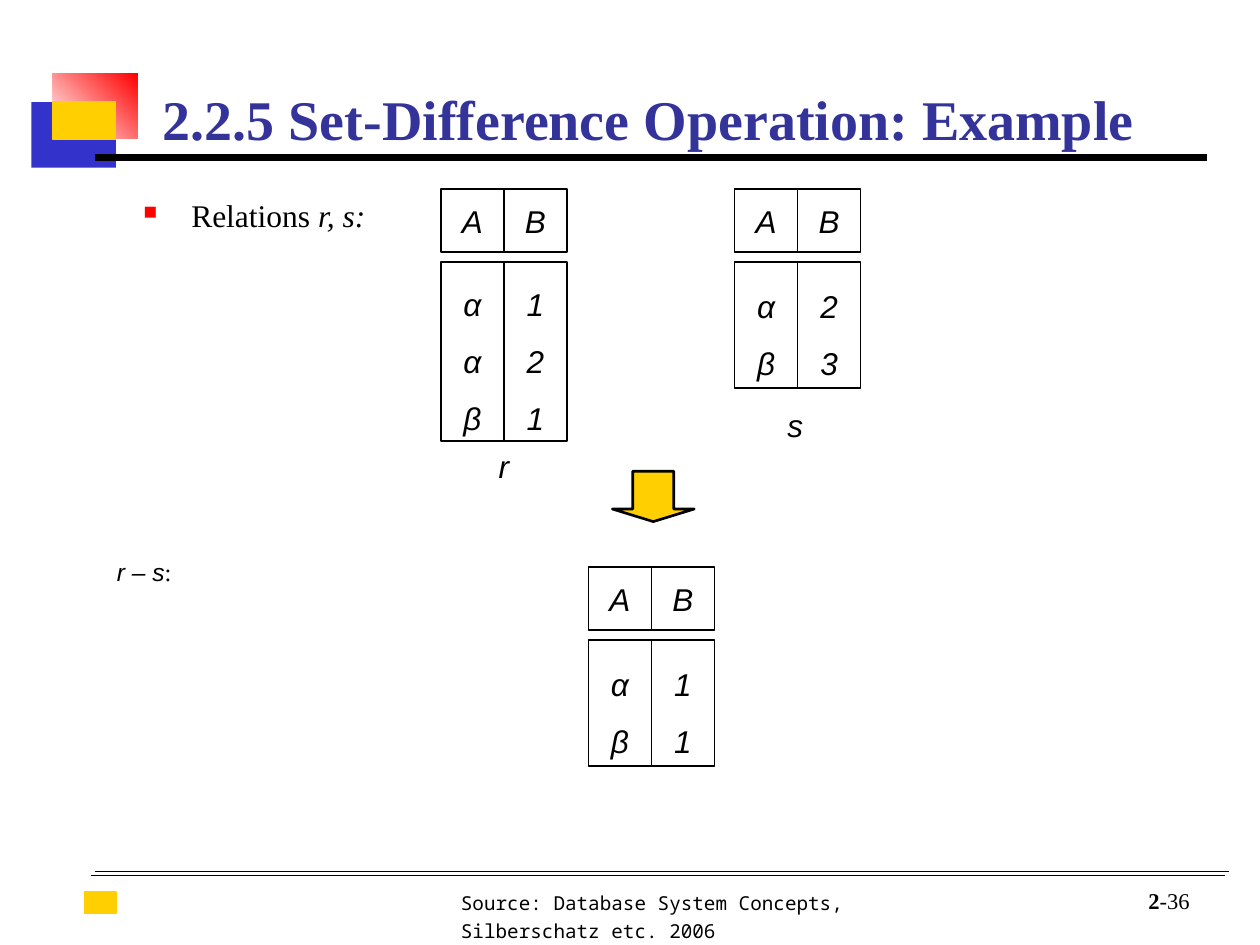
from dataclasses import dataclass

from lxml import etree
from pptx import Presentation
from pptx.dml.color import RGBColor
from pptx.enum.shapes import MSO_CONNECTOR, MSO_SHAPE
from pptx.enum.text import MSO_ANCHOR, PP_ALIGN
from pptx.oxml.ns import qn
from pptx.util import Inches, Pt

RECT = MSO_SHAPE.RECTANGLE
ARROW = MSO_SHAPE.DOWN_ARROW
LINE = MSO_CONNECTOR.STRAIGHT
TOP, MIDDLE, BOTTOM = MSO_ANCHOR.TOP, MSO_ANCHOR.MIDDLE, MSO_ANCHOR.BOTTOM
LEFT, CENTER, RIGHT = PP_ALIGN.LEFT, PP_ALIGN.CENTER, PP_ALIGN.RIGHT

BLACK, WHITE, GOLD = "000000", "FFFFFF", "FFCF01"
BLUE, RED, NAVY = "3333CC", "FF0000", "333399"
SERIF, SANS, MONO = "Times New Roman", "Arial", "Noto Sans Mono"
CELL = 0.5
GAP = 0.08


@dataclass
class Table:
    left: float
    top: float
    height: float
    rows: list[str]


@dataclass
class Rule:
    left: float
    right: float
    y: float
    width: float


@dataclass
class Label:
    text: str
    left: float
    top: float
    width: float
    height: float
    size: float
    font: str
    color: str = BLACK
    bold: bool | None = None
    italic: bool | None = None
    align: PP_ALIGN = LEFT
    anchor: MSO_ANCHOR = TOP
    wrap: bool = True
    space: float = 1.0


TABLES = [
    Table(3.5, 1.5, 1.42, ["α1", "α2", "β1"]),
    Table(5.83, 1.5, 1, ["α2", "β3"]),
    Table(4.67, 4.5, 1, ["α1", "β1"]),
]
RULES = [
    Rule(0.75, 9.75, 6.92, 0.5),
    Rule(0.75, 9.58, 1.25, 4.5),
    Rule(0.72, 9.72, 6.95, 0.5),
]
LABELS = [
    Label("Source: Database System Concepts, Silberschatz etc. 2006",
          3.56, 6.99, 4.35, 0.54, 11, MONO, space=1.2),
    Label("2.2.5 Set-Difference Operation: Example", 1.17, 0.5, 7.96, 0.75,
          32, SERIF, NAVY, bold=True, align=CENTER, anchor=BOTTOM),
    Label("r", 3.86, 3.5, 0.28, 0.4, 18, SANS, italic=True,
          align=CENTER, anchor=MIDDLE, wrap=False),
    Label("s", 6.15, 3.17, 0.32, 0.4, 18, SANS, italic=True,
          align=CENTER, anchor=MIDDLE, wrap=False),
]
PAGE = Label("2", 8.71, 6.97, 0.83, 0.33, 12.9, SERIF,
             align=RIGHT, anchor=BOTTOM)
BODY = Label("Relations ", 1.04, 1.54, 7.76, 0.38, 18, SERIF, space=0.9)
RESULT = Label("r – s", 0.83, 4.42, 7.69, 0.36, 14, SANS, space=0.8)


def paint(color: str) -> RGBColor:
    return RGBColor.from_string(color)


def add_box(slide, left: float, top: float, width: float, height: float,
            fill: str, line: str | None = None, weight: float = 0.75,
            kind=RECT):
    box = slide.shapes.add_shape(
        kind, Inches(left), Inches(top), Inches(width), Inches(height))
    box.shadow.inherit = False
    box.fill.solid()
    box.fill.fore_color.rgb = paint(fill)
    if line:
        box.line.color.rgb = paint(line)
        box.line.width = Pt(weight)
    else:
        box.line.fill.background()
    return box


def add_rule(slide, rule: Rule) -> None:
    y = Inches(rule.y)
    line = slide.shapes.add_connector(
        LINE, Inches(rule.left), y, Inches(rule.right), y)
    line.line.color.rgb = paint(BLACK)
    line.line.width = Pt(rule.width)
    etree.SubElement(line._element.spPr, qn("a:effectLst"))


def add_label(slide, label: Label):
    box = slide.shapes.add_textbox(
        Inches(label.left), Inches(label.top),
        Inches(label.width), Inches(label.height))
    frame = box.text_frame
    frame.word_wrap = label.wrap
    frame.vertical_anchor = label.anchor
    para = frame.paragraphs[0]
    para.add_run().text = label.text
    para.alignment = label.align
    para.line_spacing = label.space
    font = para.font
    font.size = Pt(label.size)
    font.name = label.font
    font.color.rgb = paint(label.color)
    font.bold = label.bold
    font.italic = label.italic
    return para


def add_tail(para, text: str):
    run = para.add_run()
    run.text = text
    return run


def add_bullet(para) -> None:
    props = para._p.get_or_add_pPr()
    props.set("marL", str(Inches(0.38)))
    props.set("indent", str(-Inches(0.38)))
    color = etree.Element(qn("a:buClr"))
    etree.SubElement(color, qn("a:srgbClr"), val=RED)
    size = etree.Element(qn("a:buSzPct"), val="60000")
    mark = etree.Element(qn("a:buChar"), char="■")
    spot = list(props).index(props.find(qn("a:defRPr")))
    props[spot:spot] = [color, size, mark]


def add_cell(slide, left: float, top: float, height: float,
             lines: list[str], space: float) -> None:
    frame = add_box(slide, left, top, CELL, height, WHITE, BLACK).text_frame
    frame.word_wrap = False
    frame.vertical_anchor = MIDDLE
    frame.text = "\n".join(lines)
    for para in frame.paragraphs:
        para.alignment = CENTER
        para.line_spacing = space
        para.font.size = Pt(18)
        para.font.name = SANS
        para.font.italic = True
        para.font.color.rgb = paint(BLACK)


def add_grid(slide, table: Table) -> None:
    for col, head in enumerate("AB"):
        left = table.left + col * CELL
        add_cell(slide, left, table.top, CELL, [head], 1.0)
        add_cell(slide, left, table.top + CELL + GAP, table.height,
                 [row[col] for row in table.rows], 1.5)


def add_decor(slide) -> None:
    add_box(slide, 0.25, 0.81, 0.67, 0.52, BLUE)
    fade = add_box(slide, 0.42, 0.58, 0.67, 0.52, RED).fill
    fade.gradient()
    fade.gradient_angle = 45
    for stop, color, spot in zip(fade.gradient_stops, (WHITE, RED), (0, 1)):
        stop.color.rgb = paint(color)
        stop.position = spot
    add_box(slide, 0.42, 0.81, 0.5, 0.3, GOLD, GOLD)
    add_box(slide, 0.67, 7.08, 0.25, 0.17, GOLD, GOLD)
    for rule in RULES:
        add_rule(slide, rule)


def main() -> None:
    deck = Presentation()
    deck.slide_width, deck.slide_height = Inches(10), Inches(7.5)
    slide = deck.slides.add_slide(deck.slide_layouts[6])
    add_decor(slide)
    for label in LABELS:
        add_label(slide, label)
    page = add_label(slide, PAGE)
    page.runs[0].font.bold = True
    add_tail(page, "-36")
    body = add_label(slide, BODY)
    add_bullet(body)
    add_tail(body, "r, s:").font.italic = True
    result = add_label(slide, RESULT)
    result.runs[0].font.italic = True
    add_tail(result, ":").font.name = SERIF
    for table in TABLES:
        add_grid(slide, table)
    add_box(slide, 4.86, 3.74, 0.65, 0.4, GOLD, BLACK, 1.5, ARROW
            ).adjustments[1] = 0.25
    deck.save("out.pptx")


if __name__ == "__main__":
    main()
